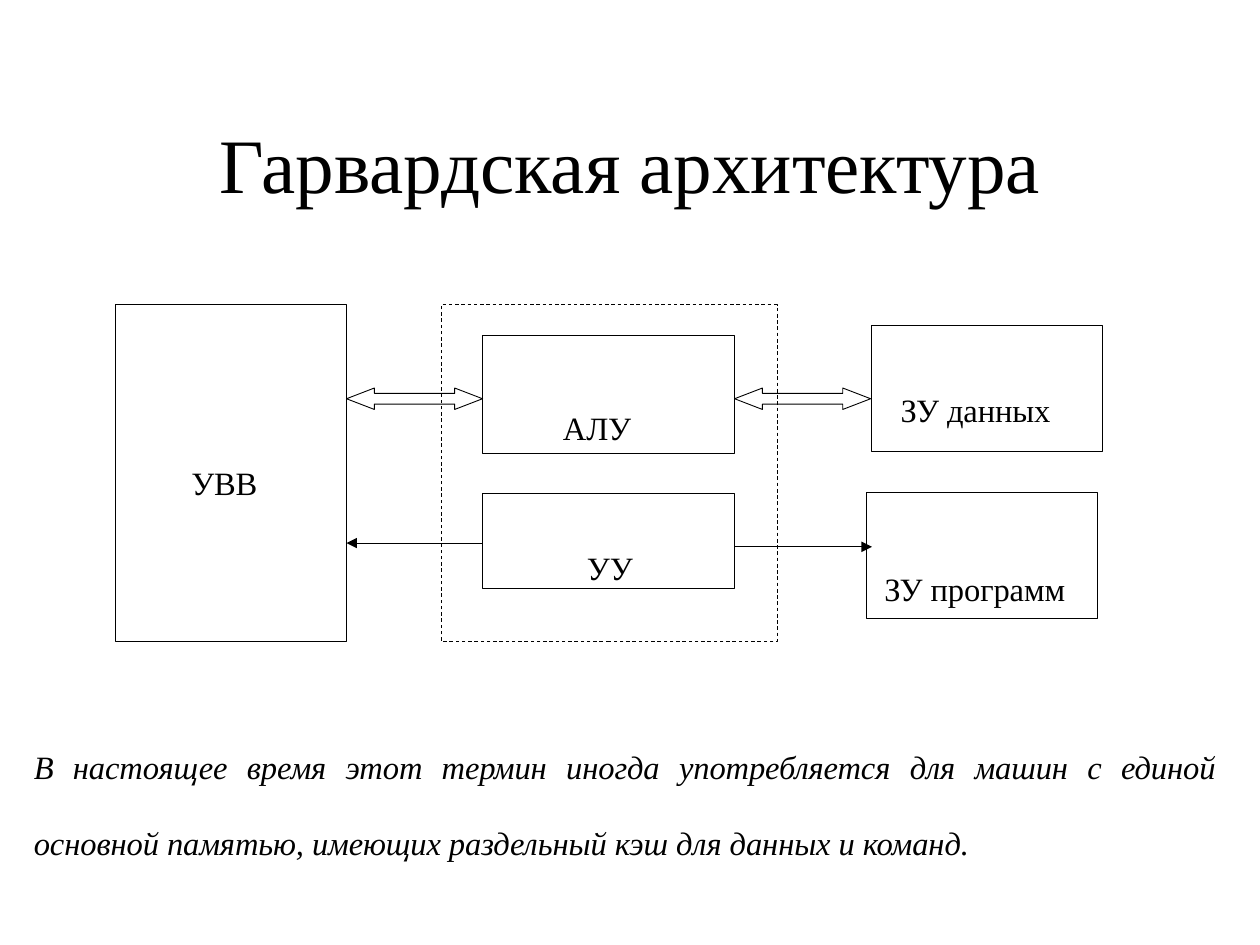
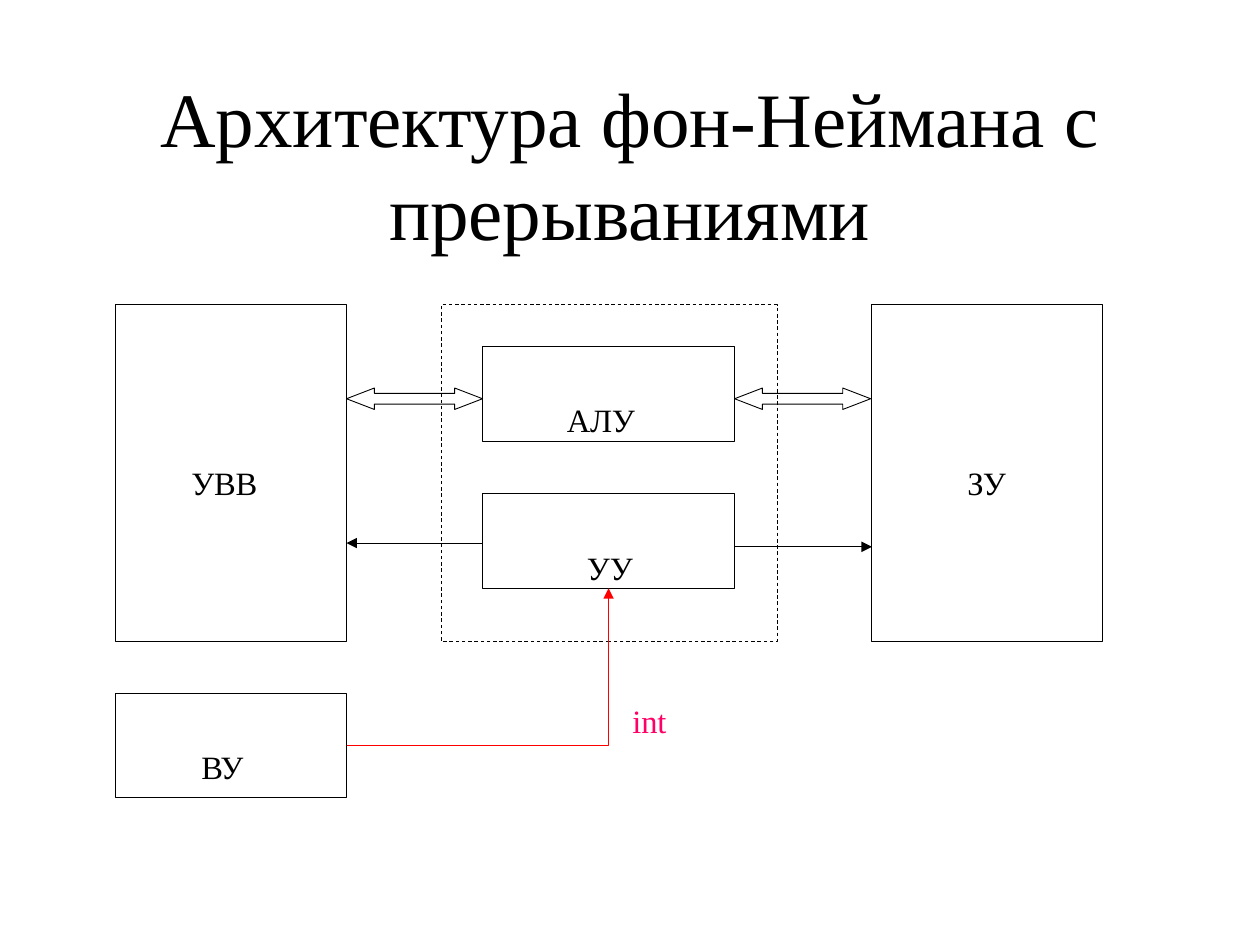
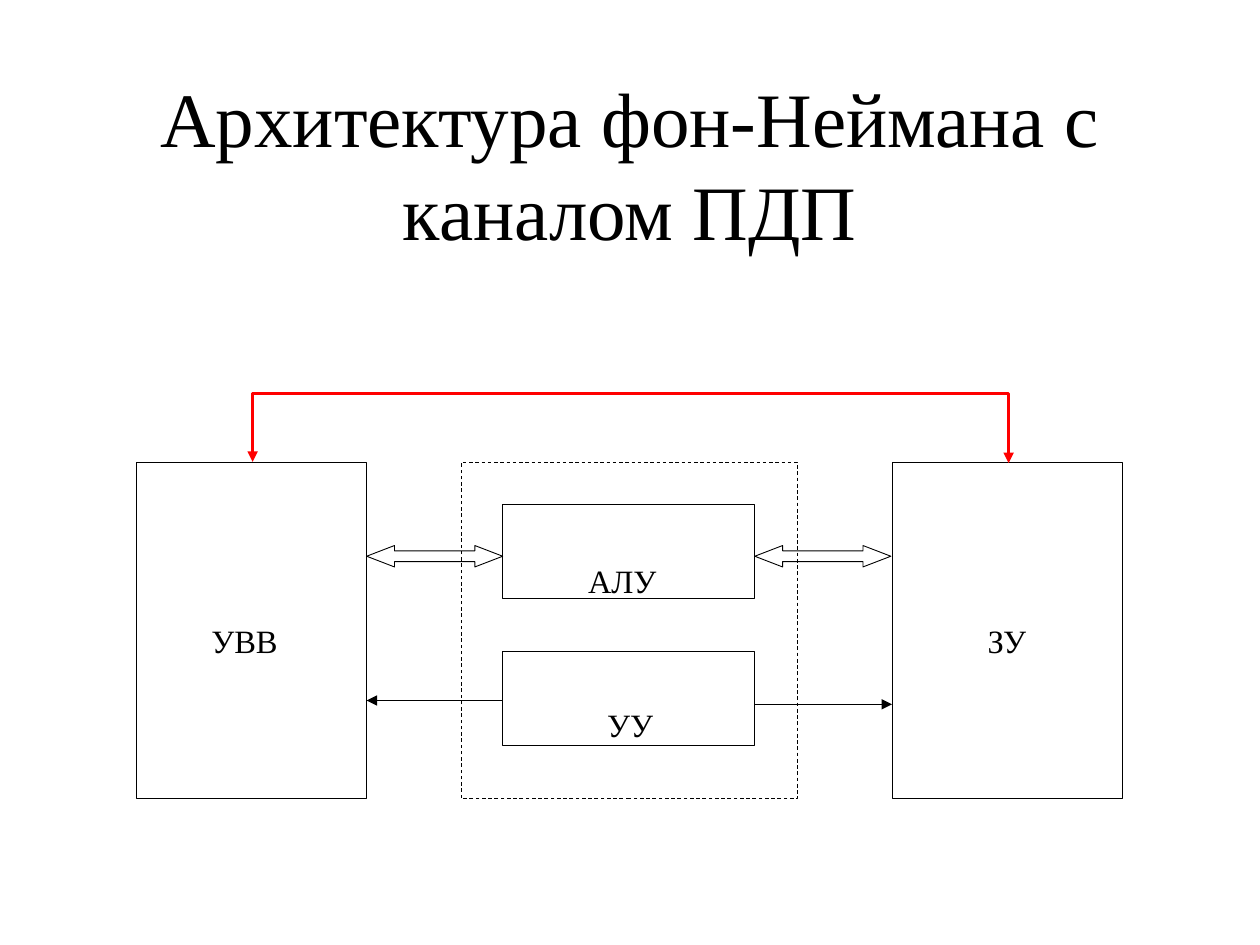
from dataclasses import dataclass

from lxml import etree
from pptx import Presentation
from pptx import util as u
from pptx.dml.color import RGBColor
from pptx.enum import dml, shapes, text
from pptx.oxml.ns import qn


@dataclass(frozen=True)
class Theme:
    """Colours, font, type sizes and line widths of the deck."""
    font: str = "Times New Roman"
    ink: str = "000000"
    signal: str = "FF0000"
    signal_label: str = "FF0066"
    title_size: int = 44
    label_size: int = 32
    thin: float = 0.5
    thick: float = 1.5


THEME = Theme()
BLOCK_WIDTH = 1.83
CORE_SIZE = 2.67
ARROW_LENGTH = 1.08


def format_runs(paragraph, size, color=THEME.ink):
    """Give every run of a paragraph the deck font."""
    for run in paragraph.runs:
        run.font.name = THEME.font
        run.font.size = u.Pt(size)
        run.font.color.rgb = RGBColor.from_string(color)


def add_titled_slide(presentation, title):
    """Add a title-only slide with a centred title."""
    slide = presentation.slides.add_slide(presentation.slide_layouts[5])
    shape = slide.shapes.title
    shape.left, shape.top, shape.width, shape.height = map(u.Inches, (0.75, 0.67, 8.5, 1.25))
    frame = shape.text_frame
    frame.text = title
    frame.auto_size = text.MSO_AUTO_SIZE.NONE
    frame.vertical_anchor = text.MSO_ANCHOR.MIDDLE
    paragraph = frame.paragraphs[0]
    paragraph.alignment = text.PP_ALIGN.CENTER
    format_runs(paragraph, THEME.title_size)
    return slide


def add_outline(slide, left, top, width, height, kind=shapes.MSO_SHAPE.RECTANGLE, dashed=False):
    """Add an unfilled preset shape with a thin outline."""
    shape = slide.shapes.add_shape(kind, *map(u.Inches, (left, top, width, height)))
    shape.shadow.inherit = False
    shape.fill.background()
    shape.line.color.rgb = RGBColor.from_string(THEME.ink)
    shape.line.width = u.Pt(THEME.thin)
    if dashed:
        shape.line.dash_style = dml.MSO_LINE.DASH
    return shape


def add_double_arrow(slide, left, top):
    """Add a two-way data arrow."""
    shape = add_outline(slide, left, top, ARROW_LENGTH, 0.17, shapes.MSO_SHAPE.LEFT_RIGHT_ARROW)
    shape.adjustments[0], shape.adjustments[1] = 0.5, 1.3


def add_label(slide, wording, left, top, width, height, before=50, after=0, color=THEME.ink):
    """Add a lowered text label and return its paragraph."""
    box = slide.shapes.add_textbox(*map(u.Inches, (left, top, width, height)))
    frame = box.text_frame
    frame.text = wording
    frame.word_wrap = True
    frame.auto_size = text.MSO_AUTO_SIZE.SHAPE_TO_FIT_TEXT
    paragraph = frame.paragraphs[0]
    format_runs(paragraph, THEME.label_size, color)
    for run in paragraph.runs:
        run.font._element.set("baseline", "-25000")
    properties = paragraph._p.get_or_add_pPr()
    for tag, percent in (("a:spcBef", before), ("a:spcAft", after)):
        spacing = etree.SubElement(properties, qn(tag))
        etree.SubElement(spacing, qn("a:spcPct")).set("val", str(percent * 1000))
    return paragraph


def add_line(slide, start, end, kind=shapes.MSO_CONNECTOR.STRAIGHT, color=THEME.ink,
             width=THEME.thin, ends=("tailEnd",)):
    """Add a connector with triangular arrowheads."""
    connector = slide.shapes.add_connector(kind, *map(u.Inches, (*start, *end)))
    connector.line.color.rgb = RGBColor.from_string(color)
    connector.line.width = u.Pt(width)
    line = connector.line._get_or_add_ln()
    for end_tag in ends:
        etree.SubElement(line, qn(f"a:{end_tag}")).set("type", "triangle")
    etree.SubElement(connector._element.spPr, qn("a:effectLst"))
    return connector


def add_machine(slide, left, top, alu_box=(0.33, 0.75), alu_label=(3.48, 0.41)):
    """Draw the input-output block, the processor and its links."""
    io_block = add_outline(slide, left, top, BLOCK_WIDTH, CORE_SIZE)
    add_label(slide, "УВВ", left + 0.5, top + 0.91, 1, 0.98)
    add_outline(slide, left + 2.58, top, CORE_SIZE, CORE_SIZE, dashed=True)
    unit_left = left + 2.91
    alu_top, alu_height = alu_box
    add_outline(slide, unit_left, top + alu_top, 2, alu_height)
    add_label(slide, "АЛУ", left + alu_label[0], top + alu_label[1], 1.1, 0.46, before=20)
    control = add_outline(slide, unit_left, top + 1.5, 2, 0.75)
    add_label(slide, "УУ", left + 3.64, top + 1.58, 0.61, 0.45, before=20)
    unit_right = unit_left + 2
    for arrow_left in (left + BLOCK_WIDTH, unit_right):
        add_double_arrow(slide, arrow_left, top + 0.66)
    add_line(slide, (unit_left, top + 1.89), (left + BLOCK_WIDTH, top + 1.89))
    add_line(slide, (unit_right, top + 1.92), (left + 6, top + 1.92))
    return io_block, control


def add_memory(slide, left, top):
    """Draw the single memory block of a machine."""
    memory = add_outline(slide, left + 6, top, BLOCK_WIDTH, CORE_SIZE)
    add_label(slide, "ЗУ", left + 6.66, top + 0.91, 0.92, 0.98)
    return memory


def add_interrupt(slide, device, control):
    """Link a device to the control unit from below."""
    connector = add_line(slide, (2.75, 5.92), (4.83, 4.67), shapes.MSO_CONNECTOR.ELBOW, THEME.signal)
    connector.begin_connect(device, 3)
    connector.end_connect(control, 2)
    connector._element.spPr.find(qn("a:prstGeom")).set("prst", "bentConnector2")
    paragraph = add_label(slide, "int", 4.92, 5.42, 0.58, 0.28, after=100, color=THEME.signal_label)
    paragraph.line_spacing = 0.5


def add_direct_channel(slide, io_block, memory):
    """Link the tops of two blocks with a raised two-way line."""
    connector = add_line(slide, (2, 3.67), (8, 3.67), shapes.MSO_CONNECTOR.ELBOW, THEME.signal,
                         THEME.thick, ("headEnd", "tailEnd"))
    connector.begin_connect(io_block, 0)
    connector.end_connect(memory, 0)
    connector.left, connector.top, connector.width, connector.height = map(u.Inches, (5, 0.67, 0.01, 6))
    properties = connector._element.spPr
    frame = properties.find(qn("a:xfrm"))
    frame.set("rot", str(90 * 60000))
    frame.set("flipV", "1")
    guides = properties.find(qn("a:prstGeom")).find(qn("a:avLst"))
    guide = etree.SubElement(guides, qn("a:gd"))
    guide.set("name", "adj1")
    guide.set("fmla", "val -5500000")


def build_harvard(presentation):
    """Build the slide with separate data and program memories."""
    slide = add_titled_slide(presentation, "Гарвардская архитектура")
    add_machine(slide, 0.92, 2.42, alu_box=(0.24, 0.94), alu_label=(3.45, 0.47))
    memories = (("ЗУ данных", 6.92, 2.58, 7.05, 2.75), ("ЗУ программ", 6.88, 3.91, 6.92, 4.17))
    for wording, left, top, label_left, label_top in memories:
        add_outline(slide, left, top, BLOCK_WIDTH, 1)
        add_label(slide, wording, label_left, label_top, 1.92, 0.46, after=100)
    note = add_label(slide, "В настоящее время этот термин иногда употребляется для машин с единой "
                     "основной памятью, имеющих раздельный кэш для данных и команд.",
                     0.17, 5.58, 9.58, 1.15, after=150)
    note.alignment = text.PP_ALIGN.JUSTIFY
    note.runs[0].font.italic = True


def build_interrupts(presentation):
    """Build the slide of the machine with interrupts."""
    slide = add_titled_slide(presentation, "Архитектура фон-Неймана с прерываниями")
    _, control = add_machine(slide, 0.92, 2.42)
    add_memory(slide, 0.92, 2.42)
    device = add_outline(slide, 0.92, 5.5, BLOCK_WIDTH, 0.83)
    add_label(slide, "ВУ", 1.5, 5.58, 0.67, 0.45, after=100)
    add_interrupt(slide, device, control)


def build_direct_access(presentation):
    """Build the slide of the machine with a direct memory channel."""
    slide = add_titled_slide(presentation, "Архитектура фон-Неймана с каналом ПДП")
    io_block, _ = add_machine(slide, 1.08, 3.67, alu_label=(3.49, 0.44))
    memory = add_memory(slide, 1.08, 3.67)
    add_direct_channel(slide, io_block, memory)


def main():
    """Build and save the deck."""
    presentation = Presentation()
    presentation.slide_width, presentation.slide_height = u.Inches(10), u.Inches(7.5)
    build_harvard(presentation)
    build_interrupts(presentation)
    build_direct_access(presentation)
    presentation.save("out.pptx")


if __name__ == "__main__":
    main()
